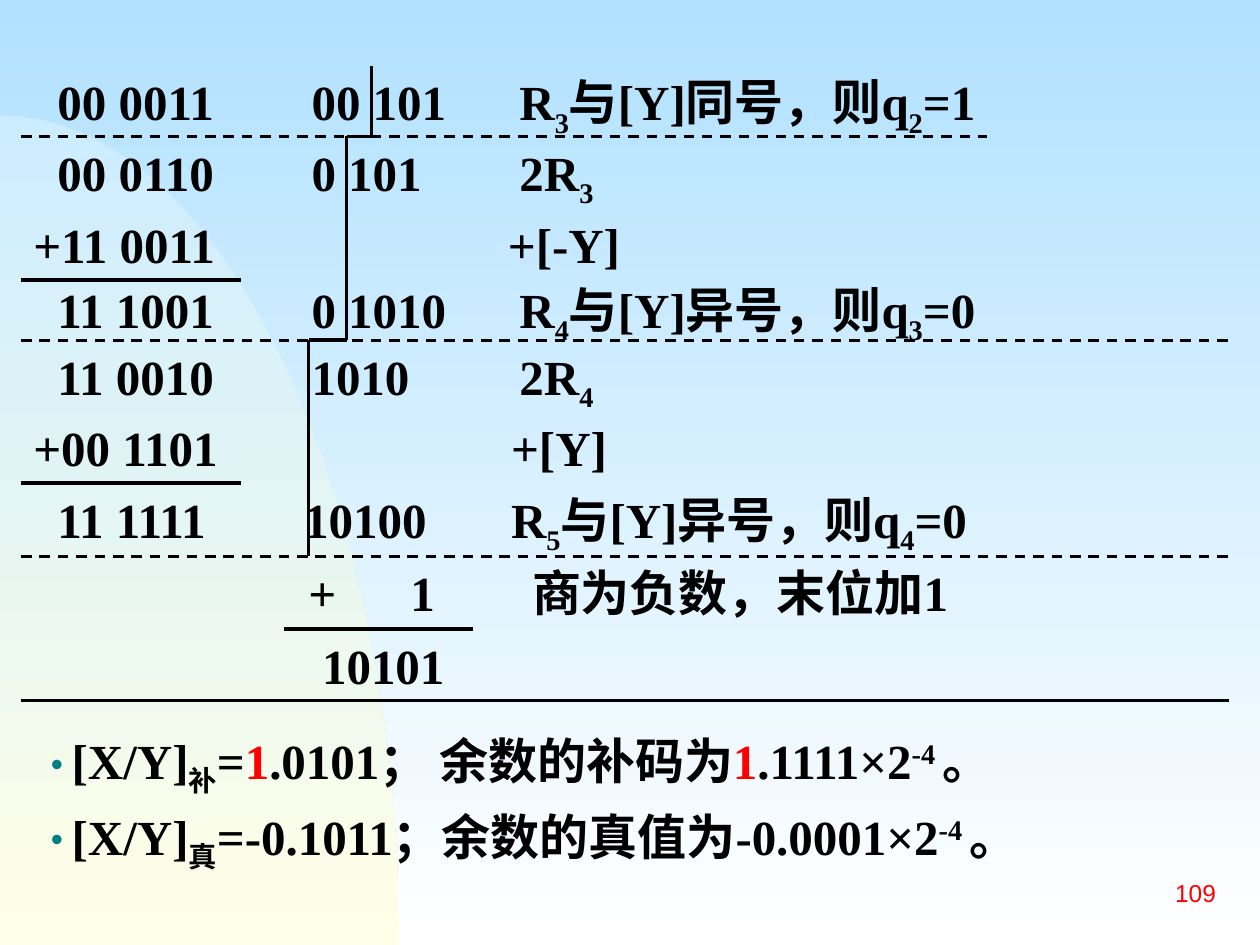
from itertools import pairwise
from lxml.etree import SubElement as Sub
from pptx import Presentation
from pptx.dml.color import RGBColor
from pptx.enum.dml import MSO_LINE as Dash
from pptx.enum.shapes import MSO_CONNECTOR as Conn
from pptx.enum.text import MSO_ANCHOR as Anchor, PP_ALIGN as Align
from pptx.oxml.ns import qn
from pptx.util import Inches, Pt

# The slide is a grid of 120 columns by 90 rows
COLS, ROWS = 120, 90
CELL = Inches(10) / COLS
BLACK, RED, TEAL = "000000", "FF0000", "008080"
SERIF, SANS = "Times New Roman", "Arial"
SUB, SUP = -25, 30

# Tab stops, in columns from the text edge
NUM, QUOT, NOTE = 2.3, 26.5, 46.3

# Division steps: top row, tab stops, text with _subscripts_
STEPS = [
    (0, (NUM, QUOT, NOTE), "\t00 0011\t00 101\tR_3_与[Y]同号，则q_2_=1"),
    (6.75, (NUM, QUOT, NOTE), "\t00 0110\t0 101\t2R_3_"),
    (13.55, (45.2,), "+11 0011\t+[-Y]"),
    (19.75, (NUM, QUOT, NOTE), "\t11 1001\t0 1010\tR_4_与[Y]异号，则q_3_=0"),
    (26.15, (NUM, QUOT, NOTE), "\t11 0010\t1010\t2R_4_"),
    (32.95, (45.5,), "+00 1101\t+[Y]"),
    (39.75, (NUM, 25.8, 45.5), "\t11 1111\t10100\tR_5_与[Y]异号，则q_4_=0"),
    (46.75, (26.2, 35.9, 47.5), "\t+\t1\t商为负数，末位加1"),
    (53.65, (27.5,), "\t10101"),
]
END = 60.45

# Results: runs of text, baseline shift, colour
SUMS = [
    [("[X/Y]", 0, BLACK), ("补", SUB, BLACK), ("=", 0, BLACK), ("1", 0, RED),
     (".0101； 余数的补码为", 0, BLACK), ("1", 0, RED),
     (".1111×2", 0, BLACK), ("-4 ", SUP, BLACK), ("。", 0, BLACK)],
    [("[X/Y]", 0, BLACK), ("真", SUB, BLACK),
     ("=-0.1011；余数的真值为-0.0001×2", 0, BLACK),
     ("-4 ", SUP, BLACK), ("。", 0, BLACK)],
]


def cells(n):
    return round(n * CELL)


def rgb(code):
    return RGBColor.from_string(code)


def shade(fill, top, base):
    fill.gradient()
    fill.gradient_angle = 270
    for stop, code in zip(fill.gradient_stops, (top, base)):
        stop.color.rgb = rgb(code)


def frame(slide, box):
    text = slide.shapes.add_textbox(*map(cells, box)).text_frame
    text.word_wrap = True
    return text


def write(para, text, base=0, code=BLACK, size=28, face=SERIF, bold=True):
    run = para.add_run()
    run.text = text
    font = run.font
    font.size, font.name, font.bold = Pt(size), face, bold
    font.color.rgb = rgb(code)
    if base:
        run._r.get_or_add_rPr().set("baseline", str(base * 1000))


def tabs(para, stops):
    group = Sub(para._p.get_or_add_pPr(), qn("a:tabLst"))
    for stop in stops:
        Sub(group, qn("a:tab"), pos=str(cells(stop)), algn="l")


def bullet(para, left, gap):
    prop = para._p.get_or_add_pPr()
    prop.set("marL", str(cells(left + gap)))
    prop.set("indent", str(-cells(gap)))
    Sub(Sub(prop, qn("a:buClr")), qn("a:srgbClr"), val=TEAL)
    Sub(prop, qn("a:buSzPct"), val="71000")
    Sub(prop, qn("a:buFont"), typeface=SANS)
    Sub(prop, qn("a:buChar"), char="•")


def rule(slide, start, end, dash=False):
    line = slide.shapes.add_connector(
        Conn.STRAIGHT, *map(cells, (*start, *end)))
    line.line.color.rgb = rgb(BLACK)
    line.line.width = Pt(1.5 if dash else 2)
    if dash:
        line.line.dash_style = Dash.DASH
    Sub(line._element.spPr, qn("a:effectLst"))


def backdrop(slide, box):
    shade(slide.background.fill, "B1E1FF", "FFFFFF")
    # Quarter arc, sampled from a cubic curve
    x, y, w, h = box
    curve = ((0, 0), (0.55, 0), (1, 0.45), (1, 1))
    points = []
    for i in range(1, 41):
        t = i / 40
        mix = ((1 - t) ** 3, 3 * t * (1 - t) ** 2, 3 * t * t * (1 - t), t ** 3)
        u, v = (sum(m * p[k] for m, p in zip(mix, curve)) for k in (0, 1))
        points.append((cells(x + u * w), cells(y + v * h)))
    pen = slide.shapes.build_freeform(cells(x), cells(y))
    pen.add_line_segments(points + [(cells(x), cells(y + h))], close=True)
    arc = pen.convert_to_shape()
    arc.shadow.inherit = False
    arc.line.fill.background()
    shade(arc.fill, "CCECFF", "FFFFE7")


def division(slide, box):
    x, y, w, _ = box
    for top, stops, text in STEPS:
        tall = 7.5 if "_" in text else 6.8
        para = frame(slide, (x, y + top, w, tall)).paragraphs[0]
        tabs(para, stops)
        for i, part in enumerate(text.split("_")):
            if part:
                write(para, part, SUB if i % 2 else 0)

    # Rules across the rows: left, right, row, dashed
    tops = [step[0] for step in STEPS]
    for left, right, row, dash in (
            (0, 92, tops[1], True), (0, w, tops[4], True),
            (0, w, tops[7], True), (0, 21, 20.4, False),
            (0, 21, tops[6], False), (25, 43, tops[8], False),
            (0, w, END, False)):
        rule(slide, (x + left, y + row), (x + right, y + row), dash)

    # Stair that parts the quotient from the dividend
    stair = []
    for col, first, last in ((33.4, 0, 1), (31, 1, 4), (27.4, 4, 7)):
        stair += [(x + col, y + top) for top in tops[first:last + 1]]
    for start, end in pairwise(stair):
        rule(slide, start, end)


def result(slide, box):
    x, y, w, h = box
    step = h / len(SUMS)
    for i, runs in enumerate(SUMS):
        para = frame(slide, (x, y + i * step, w, 7.5)).paragraphs[0]
        bullet(para, 1.67, 1.98)
        for run in runs:
            write(para, *run)


def number(slide, box):
    text = frame(slide, box)
    text.vertical_anchor = Anchor.MIDDLE
    para = text.paragraphs[0]
    para.alignment = Align.RIGHT
    write(para, "109", code=RED, size=14, face=SANS, bold=False)


def main():
    deck = Presentation()
    deck.slide_width, deck.slide_height = cells(COLS), cells(ROWS)
    slide = deck.slides.add_slide(deck.slide_layouts[6])
    backdrop(slide, (0, 11, 38, 79))
    division(slide, (2, 6.25, 115, END))
    result(slide, (2, 69, 115, 14.4))
    number(slide, (92, 82, 25, 6))
    deck.save("out.pptx")


if __name__ == "__main__":
    main()
